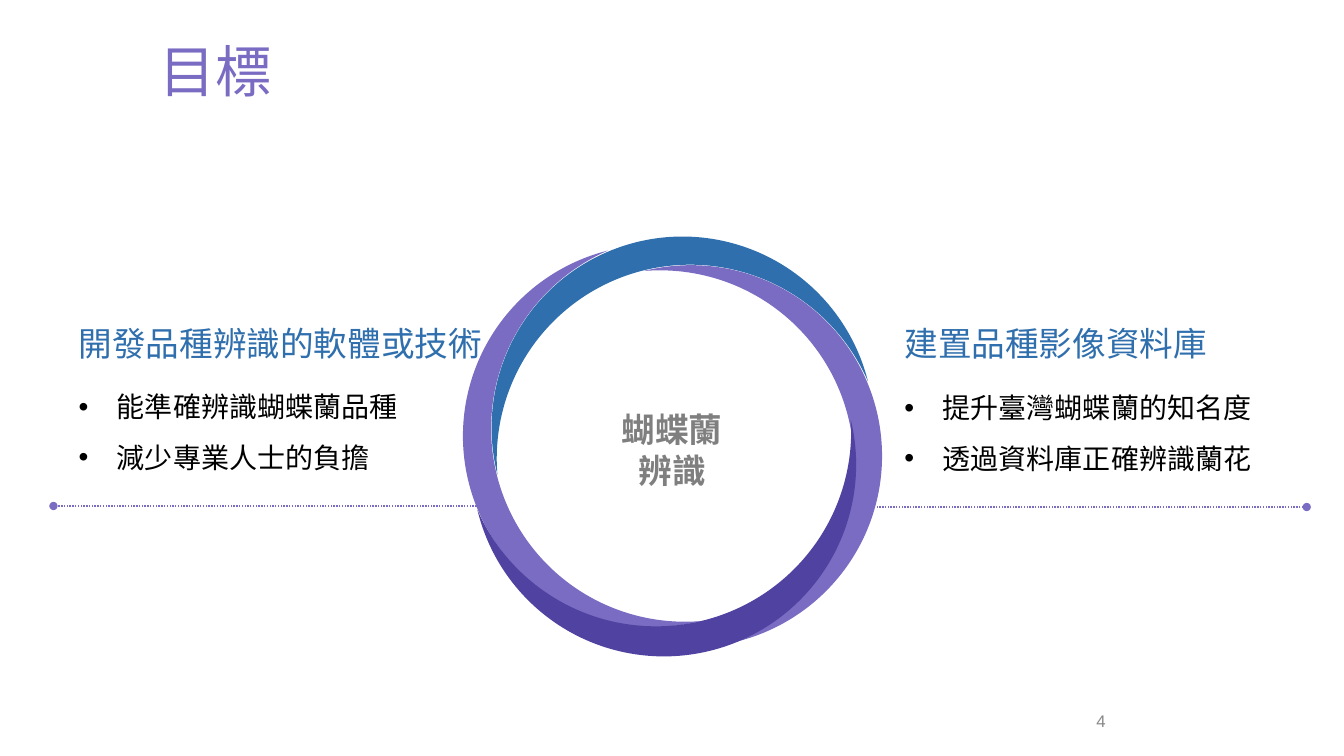
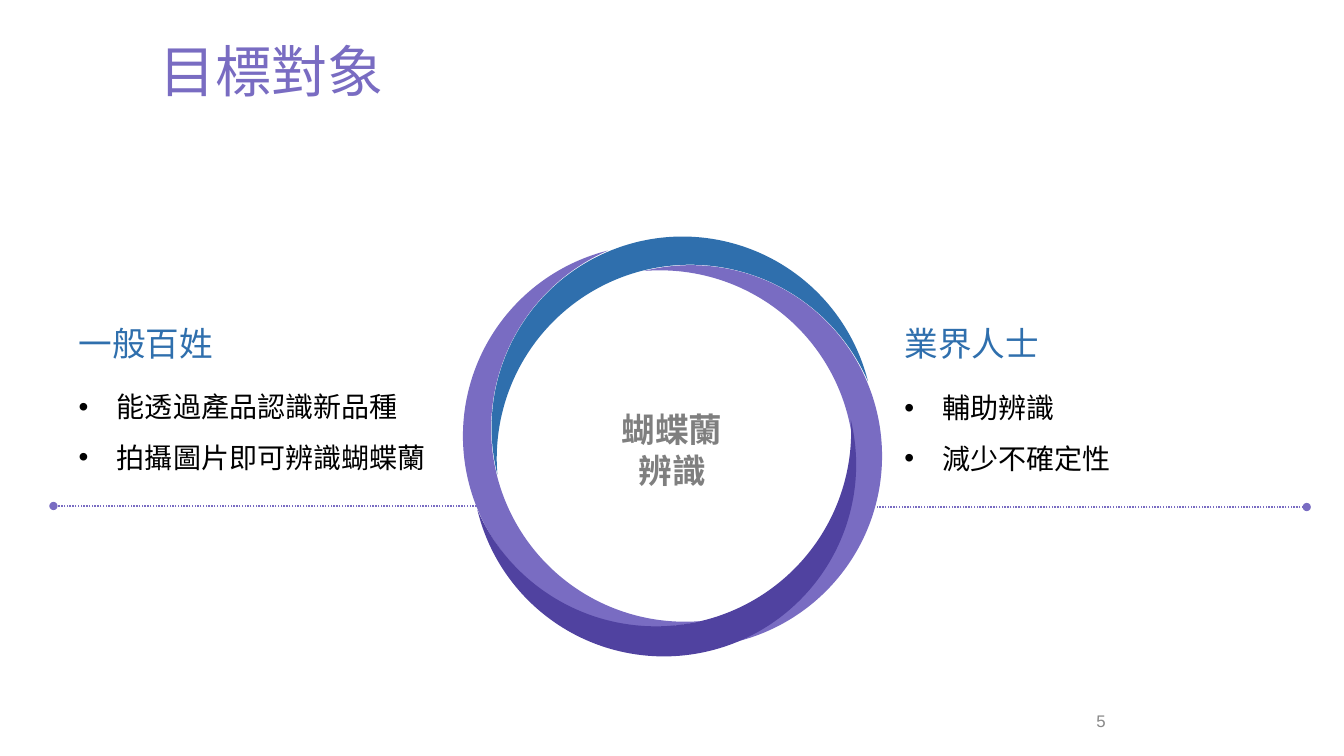
import pptx
import pptx.dml.color
import pptx.enum.dml
import pptx.enum.shapes
import pptx.enum.text
import pptx.oxml.ns
import pptx.util
import lxml.etree

Inches = pptx.util.Inches
Pt = pptx.util.Pt
qn = pptx.oxml.ns.qn
ALIGN = pptx.enum.text.PP_ALIGN
ANCHOR = pptx.enum.text.MSO_ANCHOR

COLORS = {
    "purple": "796CC2",
    "blue": "2F6FAD",
    "indigo": "5042A0",
    "gray": "7F7F7F",
    "number": "888888",
    "black": "000000",
}

COMPARISON_LAYOUT = 4
TITLE_BOX = (1.48, 0.36, 11.5, 0.75)
CENTER_BOX = (5.87, 4.01, 1.59, 0.91)
NUMBER_BOX = (9.42, 6.95, 3, 0.4)
CENTER_LINES = ["蝴蝶蘭", "辨識"]

MOONS = [
    ((4.62, 2.66, 1.9, 3.79), 345.9, 0.152, "purple"),
    ((5.59, 1.43, 1.9, 3.79), 75.9, 0.152, "blue"),
    ((6.82, 2.4, 1.9, 3.79), 165.9, 0.152, "purple"),
    ((5.86, 3.63, 1.9, 3.81), 256.4, 0.162, "indigo"),
]

SIDES = [
    {"heading": (0.68, 3.15, 4.72, 0.5), "list": (0.68, 3.65, 4.91, 1.05),
     "line": (4.9, 0.53, 5.02), "placeholders": (1, 2)},
    {"heading": (8.87, 3.15, 4.24, 0.5), "list": (8.87, 3.66, 4.95, 1.05),
     "line": (12.96, 8.6, 5.03), "placeholders": (3, 4)},
]

SLIDES = [
    ("目標", 4, [
        ("開發品種辨識的軟體或技術", ["能準確辨識蝴蝶蘭品種", "減少專業人士的負擔"]),
        ("建置品種影像資料庫", ["提升臺灣蝴蝶蘭的知名度", "透過資料庫正確辨識蘭花"]),
    ]),
    ("目標對象", 5, [
        ("一般百姓", ["能透過產品認識新品種", "拍攝圖片即可辨識蝴蝶蘭"]),
        ("業界人士", ["輔助辨識", "減少不確定性"]),
    ]),
]


def rgb(name):
    return pptx.dml.color.RGBColor.from_string(COLORS[name])


def place(shape, box):
    shape.left, shape.top, shape.width, shape.height = map(Inches, box)


def add_bullet(paragraph):
    properties = paragraph._p.get_or_add_pPr()
    properties.set("marL", str(Inches(0.38)))
    properties.set("indent", str(-Inches(0.38)))
    color = lxml.etree.SubElement(properties, qn("a:buClr"))
    lxml.etree.SubElement(color, qn("a:srgbClr"), val=COLORS["black"])
    lxml.etree.SubElement(properties, qn("a:buFont"), typeface="Arial")
    lxml.etree.SubElement(properties, qn("a:buChar"), char="•")


def write_text(shape, lines, size, color, font="Arial", bold=False,
               align=ALIGN.LEFT, anchor=ANCHOR.TOP, spacing=1.0, bullet=False):
    frame = shape.text_frame
    frame.word_wrap = True
    frame.auto_size = pptx.enum.text.MSO_AUTO_SIZE.NONE
    frame.vertical_anchor = anchor
    frame.margin_left = frame.margin_right = Inches(0.1)
    frame.margin_top = frame.margin_bottom = Inches(0.05)
    for index, line in enumerate(lines):
        paragraph = frame.add_paragraph() if index else frame.paragraphs[0]
        paragraph.alignment = align
        paragraph.line_spacing = spacing
        paragraph.space_before = paragraph.space_after = Pt(0)
        if bullet:
            add_bullet(paragraph)
        run = paragraph.add_run()
        run.text = line
        run.font.size = Pt(size)
        run.font.bold = bold
        run.font.color.rgb = rgb(color)
        run.font.name = font
        lxml.etree.SubElement(run._r.get_or_add_rPr(), qn("a:ea"), typeface=font)


def add_text_box(slide, box, lines, **text_format):
    shape = slide.shapes.add_textbox(*map(Inches, box))
    write_text(shape, lines, **text_format)


def add_ring(slide):
    ring = slide.shapes.add_group_shape()
    for box, rotation, thickness, color in MOONS:
        moon = ring.shapes.add_shape(
            pptx.enum.shapes.MSO_SHAPE.MOON, *map(Inches, box))
        moon.rotation = rotation
        moon.adjustments[0] = thickness
        moon.shadow.inherit = False
        moon.fill.solid()
        moon.fill.fore_color.rgb = rgb(color)
        moon.line.fill.background()


def add_dotted_line(slide, start, end, height):
    connector = slide.shapes.add_connector(
        pptx.enum.shapes.MSO_CONNECTOR.STRAIGHT,
        Inches(start), Inches(height), Inches(end), Inches(height))
    connector.line.color.rgb = rgb("purple")
    connector.line.width = Pt(1)
    connector.line.dash_style = pptx.enum.dml.MSO_LINE.ROUND_DOT
    properties = connector.element.spPr
    outline = properties.find(qn("a:ln"))
    for name in ("a:headEnd", "a:tailEnd"):
        lxml.etree.SubElement(outline, qn(name), type="oval")
    lxml.etree.SubElement(properties, qn("a:effectLst"))


def add_side(slide, side, heading, items):
    heading_index, list_index = side["placeholders"]
    heading_shape = slide.placeholders[heading_index]
    place(heading_shape, side["heading"])
    write_text(heading_shape, [heading], size=24, color="blue")
    list_shape = slide.placeholders[list_index]
    place(list_shape, side["list"])
    write_text(list_shape, items, size=20, color="black", spacing=1.5, bullet=True)
    add_dotted_line(slide, *side["line"])


def add_goal_slide(presentation, title, number, sides):
    slide = presentation.slides.add_slide(
        presentation.slide_layouts[COMPARISON_LAYOUT])
    add_ring(slide)
    add_text_box(slide, CENTER_BOX, CENTER_LINES, size=24, color="gray",
                 font="Noto Sans CJK SC", bold=True, align=ALIGN.CENTER,
                 spacing=Pt(28.8))
    for side, (heading, items) in zip(SIDES, sides):
        add_side(slide, side, heading, items)
    place(slide.shapes.title, TITLE_BOX)
    write_text(slide.shapes.title, [title], size=40, color="purple",
               font="Montserrat", anchor=ANCHOR.MIDDLE, spacing=0.9)
    add_text_box(slide, NUMBER_BOX, [str(number)], size=12, color="number",
                 align=ALIGN.CENTER, anchor=ANCHOR.MIDDLE)


def main():
    presentation = pptx.Presentation()
    presentation.slide_width = Inches(13.33)
    presentation.slide_height = Inches(7.5)
    for title, number, sides in SLIDES:
        add_goal_slide(presentation, title, number, sides)
    presentation.save("out.pptx")


if __name__ == "__main__":
    main()
